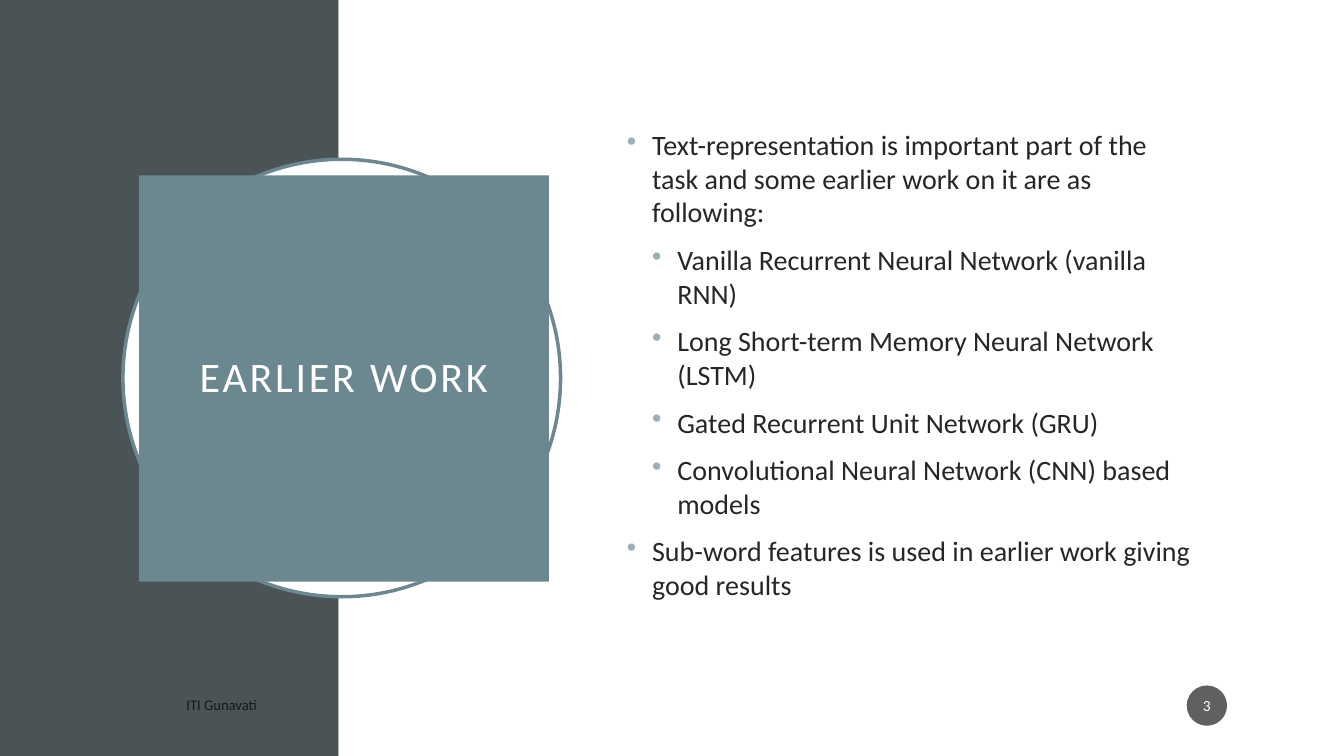
import pptx
import pptx.util
import pptx.dml.color
import pptx.enum.shapes
import pptx.enum.text
import pptx.oxml.ns
import lxml.etree

WIDE = pptx.util.Inches(13.33)
HIGH = pptx.util.Inches(7.5)
KIND = pptx.enum.shapes.MSO_SHAPE
ALIGN = pptx.enum.text.PP_ALIGN
MID = pptx.enum.text.MSO_ANCHOR.MIDDLE
FACE = "Calibri"
TEAL = "6B8891"
WHITE = "FFFFFF"

POINTS = [
    (0, "Text-representation is important part of the task and some earlier work on it are as following:"),
    (1, "Vanilla Recurrent Neural Network (vanilla RNN)"),
    (1, "Long Short-term Memory Neural Network (LSTM)"),
    (1, "Gated Recurrent Unit Network (GRU)"),
    (1, "Convolutional Neural Network (CNN) based models"),
    (0, "Sub-word features is used in earlier work giving good results"),
]


def share(left, top, width, height):
    return (int(WIDE * left / 100), int(HIGH * top / 100),
            int(WIDE * width / 100), int(HIGH * height / 100))


def add(parent, tag, **attrs):
    return lxml.etree.SubElement(parent, pptx.oxml.ns.qn(tag), attrs)


def paint(fill, color, alpha=100):
    fill.solid()
    fill.fore_color.rgb = pptx.dml.color.RGBColor.from_string(color)
    if alpha < 100:
        tone = fill._xPr.find(".//" + pptx.oxml.ns.qn("a:srgbClr"))
        add(tone, "a:alpha", val=str(alpha * 1000))


def block(slide, kind, box, color, alpha=100, edge=None):
    shape = slide.shapes.add_shape(kind, *share(*box))
    shape.shadow.inherit = False
    paint(shape.fill, color, alpha)
    if edge:
        paint(shape.line.fill, edge)
        shape.line.width = pptx.util.Pt(2.5)
    else:
        shape.line.fill.background()
    return shape


def frame(shape, sides=0.1, ends=0.05):
    text = shape.text_frame
    text.word_wrap = True
    text.vertical_anchor = MID
    text.margin_left = text.margin_right = pptx.util.Inches(sides)
    text.margin_top = text.margin_bottom = pptx.util.Inches(ends)
    return text


def write(para, words, size, color, alpha=100, align=ALIGN.LEFT):
    para.text = words
    para.alignment = align
    para.font.name = FACE
    para.font.size = pptx.util.Pt(size)
    paint(para.font.fill, color, alpha)


def bullet(para, level):
    para.level = level
    props = para._p.get_or_add_pPr()
    step = pptx.util.Inches(0.25)
    props.set("marL", str(step * (level + 1)))
    props.set("indent", str(-step))
    hue = lxml.etree.Element(pptx.oxml.ns.qn("a:buClr"))
    add(hue, "a:srgbClr", val="9BAFB5")
    mark = lxml.etree.Element(pptx.oxml.ns.qn("a:buChar"), char="•")
    base = props.find(pptx.oxml.ns.qn("a:defRPr"))
    base.addprevious(hue)
    base.addprevious(mark)


def label(slide, box):
    return slide.shapes.add_textbox(*share(*box))


def outline(slide, box):
    text = frame(label(slide, box), 0.08)
    text.margin_bottom = pptx.util.Inches(0.31)
    for spot, (level, words) in enumerate(POINTS):
        para = text.add_paragraph() if spot else text.paragraphs[0]
        write(para, words, 20, "262626")
        para.line_spacing = pptx.util.Pt(24)
        para.space_before = pptx.util.Pt(10 if spot else 0)
        bullet(para, level)
    text.margin_left = pptx.util.Inches(0.1)


def main():
    deck = pptx.Presentation()
    deck.slide_width, deck.slide_height = WIDE, HIGH
    slide = deck.slides.add_slide(deck.slide_layouts[6])

    block(slide, KIND.RECTANGLE, (0, 0, 25.2, 100), "4A5356")
    block(slide, KIND.RECTANGLE, (25.2, 0, 74.8, 100), WHITE)
    block(slide, KIND.OVAL, (9.15, 21.07, 32.56, 57.87), WHITE, edge=TEAL)

    title = block(slide, KIND.RECTANGLE, (10.35, 23.2, 30.5, 53.73), TEAL)
    head = frame(title, 0.2, 0.2).paragraphs[0]
    write(head, "EARLIER WORK", 30, WHITE, align=ALIGN.CENTER)
    head.line_spacing = 0.9
    head.font._element.set("spc", "200")

    outline(slide, (45.91, 20.4, 43.66, 59.07))

    badge = block(slide, KIND.OVAL, (88.3, 90.67, 3, 5.33), "1D1D1D", 70)
    write(frame(badge, 0.02).paragraphs[0], "3", 11, WHITE, align=ALIGN.CENTER)

    foot = frame(label(slide, (13.13, 90.93, 48.39, 4.67)))
    write(foot.paragraphs[0], "ITI Gunavati", 10.5, "000000", 70)

    deck.save("out.pptx")


if __name__ == "__main__":
    main()
